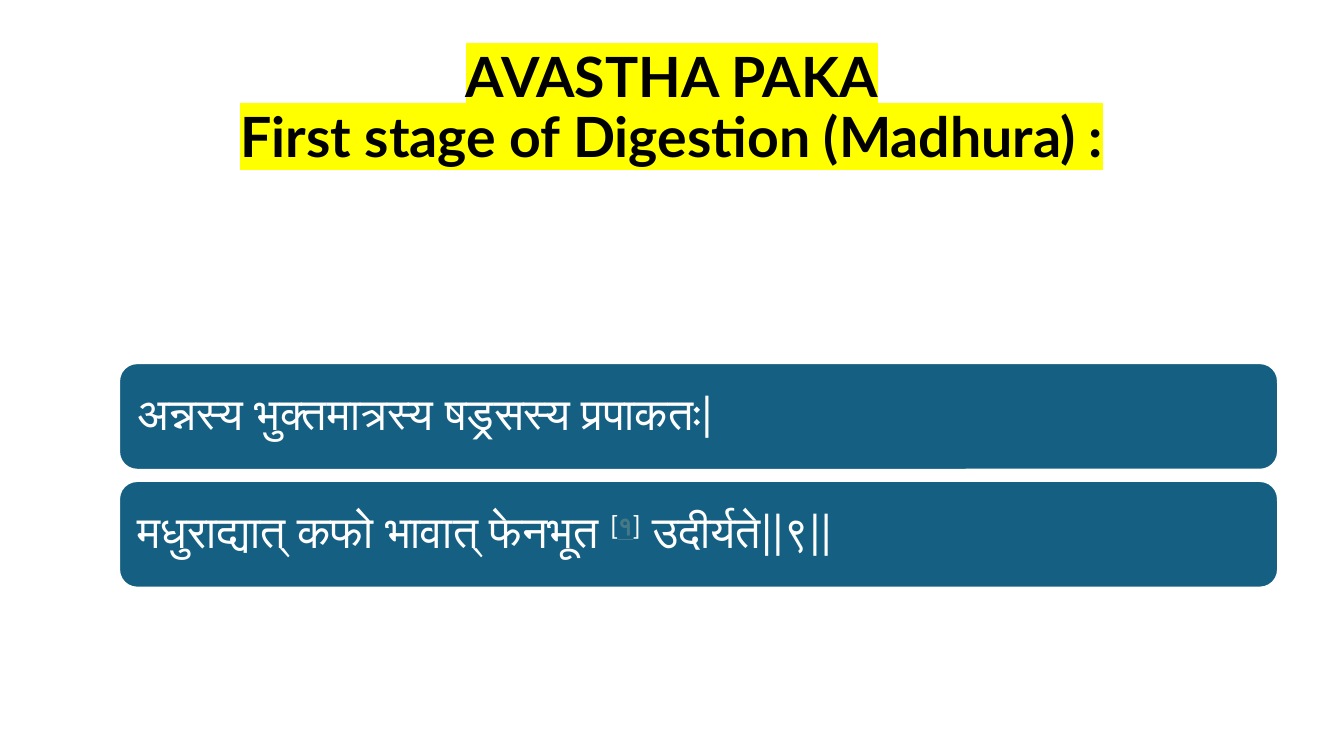
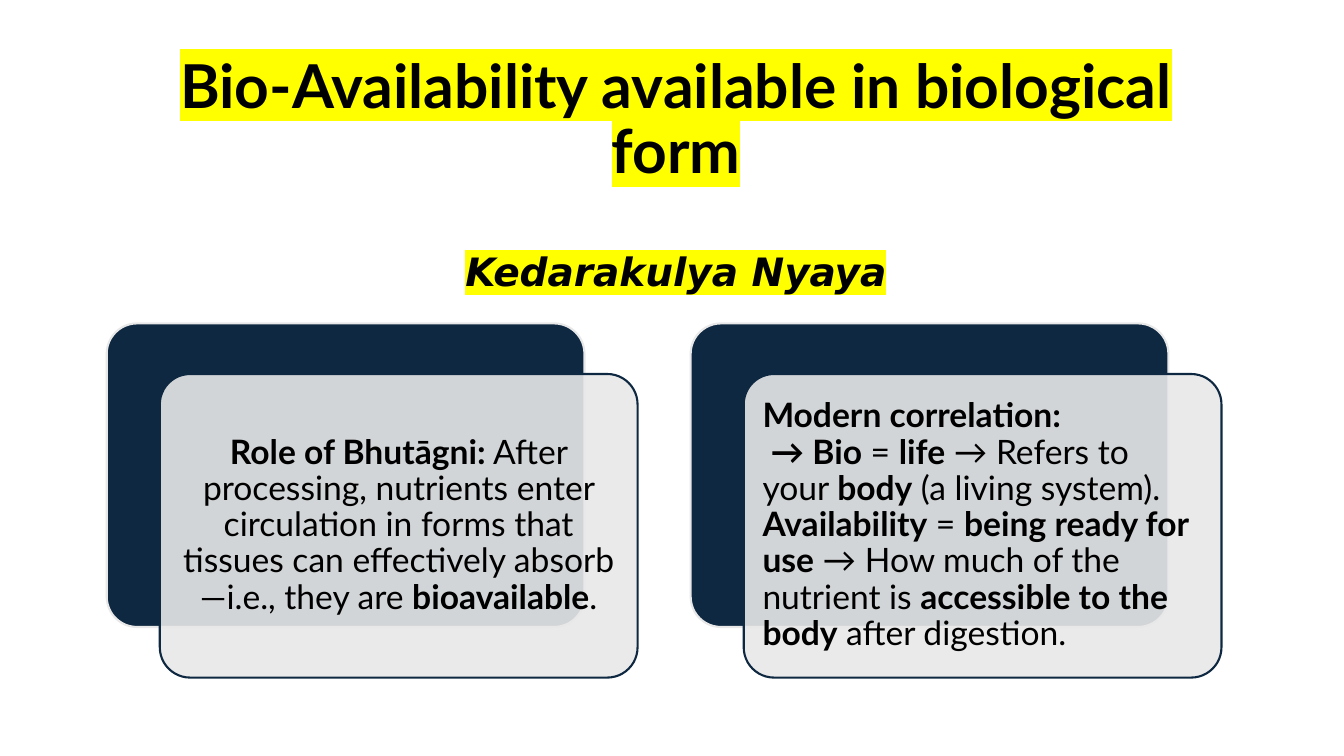
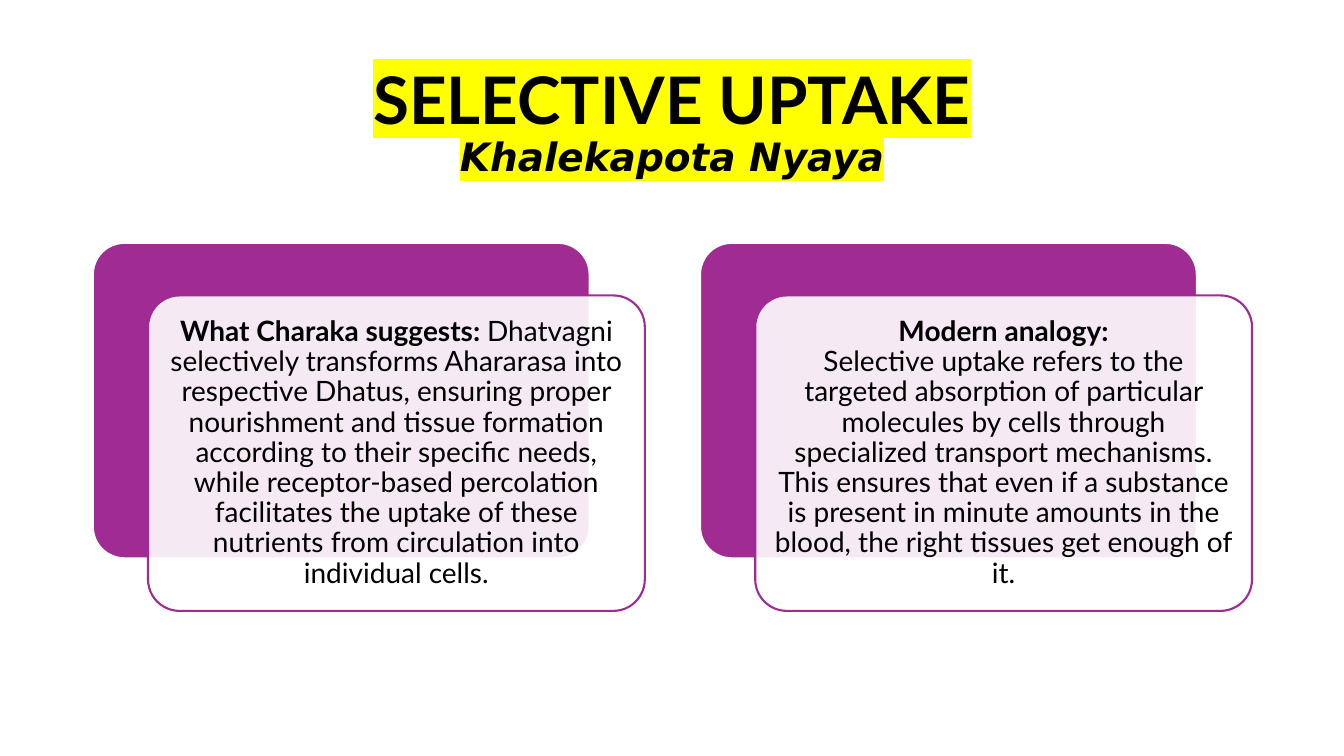
from lxml.etree import SubElement
from pptx import Presentation
from pptx.dml.color import RGBColor
from pptx.enum.shapes import MSO_SHAPE
from pptx.enum.text import MSO_ANCHOR, PP_ALIGN
from pptx.oxml.ns import qn
from pptx.util import Cm, Pt

BLACK = RGBColor(0x00, 0x00, 0x00)
WHITE = RGBColor(0xFF, 0xFF, 0xFF)
TEAL = RGBColor(0x15, 0x60, 0x82)
LINK = RGBColor(0x46, 0x78, 0x86)
NAVY = RGBColor(0x0E, 0x28, 0x41)
GREY = RGBColor(0xE8, 0xE8, 0xE8)
PURPLE = RGBColor(0xA0, 0x2B, 0x93)
HIGHLIGHT = "FFFF00"

BODY_FONT = "Lato"
NYAYA_FONT = "DejaVu Sans"
NYAYA_SIZE = 27.9
LINE_SPACING = 0.9


def format_run(run, size, color=BLACK, bold=False, font=BODY_FONT):
    run.font.size = Pt(size)
    run.font.bold = bold
    run.font.color.rgb = color
    run.font.name = font


def highlight(run):
    """Mark the run in yellow; the schema wants it right after the fill."""
    properties = run.font._element
    mark = SubElement(properties, qn("a:highlight"))
    SubElement(mark, qn("a:srgbClr"), val=HIGHLIGHT)
    properties.find(qn("a:solidFill")).addnext(mark)


def set_baseline(run, percent):
    run.font._element.set("baseline", str(percent * 1000))


def next_paragraph(text_frame, index, alignment):
    """Give the first paragraph of the frame, or a new one after it."""
    paragraph = text_frame.add_paragraph() if index else text_frame.paragraphs[0]
    paragraph.alignment = alignment
    paragraph.line_spacing = LINE_SPACING
    return paragraph


def add_title(slide, box, lines, size, nyaya=None, nyaya_gap=0):
    """Add highlighted heading lines and, below them, the italic nyaya name."""
    text_frame = slide.shapes.add_textbox(*map(Cm, box)).text_frame
    text_frame.word_wrap = True
    text_frame.vertical_anchor = MSO_ANCHOR.MIDDLE
    for index, line in enumerate(lines + ([nyaya] if nyaya else [])):
        paragraph = next_paragraph(text_frame, index, PP_ALIGN.CENTER)
        paragraph.text = line
        run = paragraph.runs[0]
        if line == nyaya:
            paragraph.space_before = Pt(nyaya_gap)
            format_run(run, NYAYA_SIZE, bold=True, font=NYAYA_FONT)
            run.font.italic = True
        else:
            format_run(run, size, bold=True)
        highlight(run)


def add_rounded_box(slide, box, fill, line, radius, inset=0.0):
    shape = slide.shapes.add_shape(MSO_SHAPE.ROUNDED_RECTANGLE, *map(Cm, box))
    shape.shadow.inherit = False
    shape.adjustments[0] = radius
    shape.fill.solid()
    shape.fill.fore_color.rgb = fill
    shape.line.color.rgb = line
    shape.line.width = Pt(1.5)
    text_frame = shape.text_frame
    text_frame.word_wrap = True
    text_frame.vertical_anchor = MSO_ANCHOR.MIDDLE
    text_frame.margin_left = text_frame.margin_right = Cm(inset)
    text_frame.margin_top = text_frame.margin_bottom = Cm(inset)
    return shape


def set_opacity(shape, percent):
    color = shape.fill._xPr.find(qn("a:solidFill"))[0]
    SubElement(color, qn("a:alpha"), val=str(percent * 1000))


def add_verse_bar(slide, top, parts):
    """Add a bar whose parts are (text, is_superscript, is_link)."""
    shape = add_rounded_box(slide, (3, top, 29.21, 2.69), TEAL, WHITE, 0.17, 0.33)
    paragraph = next_paragraph(shape.text_frame, 0, PP_ALIGN.LEFT)
    for text, is_superscript, is_link in parts:
        run = paragraph.add_run()
        run.text = text
        format_run(run, 32, LINK if is_link else WHITE, is_link)
        if is_link:
            run.font.underline = True
        if is_superscript:
            set_baseline(run, 30)


def add_card(slide, box, dark, light, size, inset, alignment, lines):
    """Add a dark plate and a shifted light card; ** toggles bold in its lines."""
    left, top, width, height = box
    add_rounded_box(slide, box, dark, light, 0.1)
    front = (left + width / 9, top + height / 6, width, height)
    card = add_rounded_box(slide, front, light, dark, 0.1, inset)
    set_opacity(card, 90)
    for index, line in enumerate(lines):
        paragraph = next_paragraph(card.text_frame, index, alignment)
        for part, text in enumerate(line.split("**")):
            if text:
                run = paragraph.add_run()
                run.text = text
                format_run(run, size, bold=part % 2 == 1)


def add_card_pair(slide, box, dark, light, size, inset, cards):
    left, top, width, height = box
    pitch = width * 11 / 9
    for index, (alignment, lines) in enumerate(cards):
        card_box = (left + index * pitch, top, width, height)
        add_card(slide, card_box, dark, light, size, inset, alignment, lines)


def build_avastha_paka(slide):
    add_title(slide, (2.33, 0.93, 29.21, 3.68),
              ["AVASTHA PAKA", "First stage of Digestion (Madhura) :"], 39.6)
    verses = [
        [("अन्नस्य भुक्तमात्रस्य षड्रसस्य प्रपाकतः|", False, False)],
        [("मधुराद्यात् कफो भावात् फेनभूत ", False, False),
         ("[", True, False), ("१", True, True), ("]", True, False),
         (" उदीर्यते||९||", False, False)],
    ]
    for index, parts in enumerate(verses):
        add_verse_bar(slide, 9.15 + index * 2.97, parts)


def build_bio_availability(slide):
    add_title(slide, (2.9, 2.26, 28.27, 4.32),
              ["Bio‑Availability available in biological form"], 43.2,
              "Kedarakulya Nyaya", 46.7)
    add_card_pair(slide, (2.69, 8.15, 12.04, 7.65), NAVY, GREY, 24, 0.25, [
        (PP_ALIGN.CENTER, [
            "**Role of Bhutāgni:** After processing, nutrients enter circulation "
            "in forms that tissues can effectively absorb—i.e., they are "
            "**bioavailable**."]),
        (PP_ALIGN.LEFT, [
            "**Modern correlation:**",
            "** → Bio** = **life** → Refers to your **body** (a living system). "
            "**Availability** = **being ready for use** → How much of the "
            "nutrient is **accessible to the body** after digestion."]),
    ])


def build_selective_uptake(slide):
    add_title(slide, (2.33, 1.55, 29.21, 3.15), ["SELECTIVE UPTAKE"], 46.8,
              "Khalekapota Nyaya")
    add_card_pair(slide, (2.34, 6.12, 12.52, 7.95), PURPLE, WHITE, 20, 0.21, [
        (PP_ALIGN.CENTER, [
            "**What Charaka suggests: **Dhatvagni selectively transforms "
            "Ahararasa into respective Dhatus, ensuring proper nourishment and "
            "tissue formation according to their specific needs, while "
            "receptor-based percolation facilitates the uptake of these "
            "nutrients from circulation into individual cells."]),
        (PP_ALIGN.CENTER, [
            "**Modern analogy:**",
            "Selective uptake refers to the targeted absorption of particular "
            "molecules by cells through specialized transport mechanisms. This "
            "ensures that even if a substance is present in minute amounts in "
            "the blood, the right tissues get enough of it."]),
    ])


def main():
    presentation = Presentation()
    presentation.slide_width = Cm(33.87)
    presentation.slide_height = Cm(19.05)
    blank_layout = presentation.slide_layouts[6]
    for build in (build_avastha_paka, build_bio_availability, build_selective_uptake):
        build(presentation.slides.add_slide(blank_layout))
    presentation.save("out.pptx")


if __name__ == "__main__":
    main()
